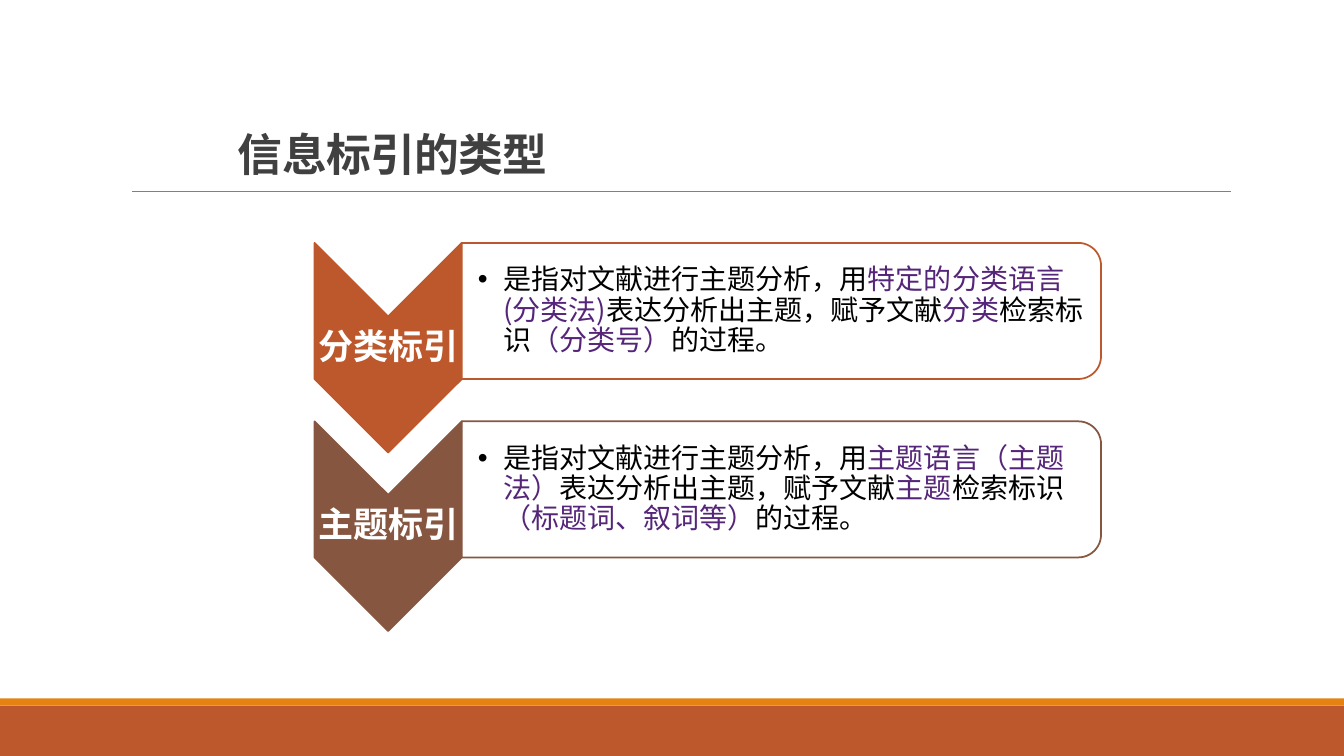
from dataclasses import dataclass

from lxml.etree import SubElement
from pptx import Presentation
from pptx.dml.color import RGBColor
from pptx.enum.shapes import MSO_CONNECTOR as Connector, MSO_SHAPE as Shape
from pptx.enum.text import MSO_ANCHOR as Anchor, PP_ALIGN as Align
from pptx.oxml.ns import qn
from pptx.util import Inches, Pt


@dataclass(frozen=True)
class Theme:
    font: str = "Noto Sans CJK SC"
    title: str = "404040"
    rule: str = "808080"
    white: str = "FFFFFF"
    body: str = "000000"
    keyword: str = "552579"
    rust: str = "BD582C"
    orange: str = "E48312"
    brown: str = "865640"
    title_size: int = 32
    label_size: int = 25
    body_size: int = 20


THEME = Theme()
SLIDE_WIDTH, SLIDE_HEIGHT = 13.33, 7.5
ROW_LEFT, ROW_TOP, ROW_WIDTH, ROW_PITCH = 3.12, 2.41, 7.8, 1.77

# Each description alternates plain and keyword text, starting with plain
ROWS = [
    ("分类标引", THEME.rust, [
        "是指对文献进行主题分析，用", "特定的分类语言(分类法)", "表达分析出主题，赋予文献",
        "分类", "检索标识", "（分类号）", "的过程。"]),
    ("主题标引", THEME.brown, [
        "是指对文献进行主题分析，用", "主题语言（主题法）", "表达分析出主题，赋予文献",
        "主题", "检索标识", "（标题词、叙词等）", "的过程。"]),
]


def style_run(run, size, color, bold=False):
    run.font.size = Pt(size)
    run.font.bold = bold
    run.font.name = THEME.font
    run.font.color.rgb = RGBColor.from_string(color)
    properties = run._r.get_or_add_rPr()
    SubElement(properties, qn("a:ea")).set("typeface", THEME.font)
    return properties


def add_block(slide, kind, left, top, width, height, fill, line=None, quarter_turn=False):
    """Draw a shape whose visible box is the one given, even when turned."""
    if quarter_turn:
        left, top = left + (width - height) / 2, top + (height - width) / 2
        width, height = height, width
    shape = slide.shapes.add_shape(
        kind, Inches(left), Inches(top), Inches(width), Inches(height))
    shape.rotation = 90 if quarter_turn else 0
    shape.shadow.inherit = False
    shape.fill.solid()
    shape.fill.fore_color.rgb = RGBColor.from_string(fill)
    if line:
        shape.line.color.rgb = RGBColor.from_string(line)
        shape.line.width = Pt(1.25)
    else:
        shape.line.fill.background()


def add_text(slide, left, top, width, height, inset, left_inset):
    box = slide.shapes.add_textbox(
        Inches(left), Inches(top), Inches(width), Inches(height))
    frame = box.text_frame
    frame.word_wrap = True
    frame.vertical_anchor = Anchor.MIDDLE
    frame.margin_top = frame.margin_right = frame.margin_bottom = Inches(inset)
    frame.margin_left = Inches(left_inset)
    paragraph = frame.paragraphs[0]
    paragraph.line_spacing = 0.9
    return paragraph


def add_bullet(paragraph):
    properties = paragraph._p.get_or_add_pPr()
    properties.set("marL", str(Inches(0.25)))
    properties.set("indent", str(-Inches(0.25)))
    SubElement(properties, qn("a:buFont")).set("typeface", "Arial")
    SubElement(properties, qn("a:buChar")).set("char", "•")


def add_footer(slide, top, width, height):
    stripe = 0.07
    add_block(slide, Shape.RECTANGLE, 0, top + stripe, width, height - stripe, THEME.rust)
    add_block(slide, Shape.RECTANGLE, 0, top, width, stripe, THEME.orange)


def add_header(slide, left, top, width, height):
    # Title
    title = slide.shapes.title
    title.left, title.top = Inches(left + 0.95), Inches(top)
    title.width, title.height = Inches(4.29), Inches(0.53)
    frame = title.text_frame
    frame.text = "信息标引的类型"
    frame.vertical_anchor = Anchor.BOTTOM
    paragraph = frame.paragraphs[0]
    paragraph.alignment = Align.LEFT
    paragraph.line_spacing = 0.85
    style_run(paragraph.runs[0], THEME.title_size, THEME.title, bold=True).set("spc", "-50")

    # Rule under the title
    bottom = Inches(top + height)
    rule = slide.shapes.add_connector(
        Connector.STRAIGHT, Inches(left), bottom, Inches(left + width), bottom)
    rule.line.color.rgb = RGBColor.from_string(THEME.rule)
    rule.line.width = Pt(0.5)
    SubElement(rule._element.spPr, qn("a:effectLst"))


def add_row(slide, left, top, width, label, color, description):
    arrow_width, arrow_height, panel_height = 1.46, 2.08, 1.35
    label_height, text_height = 0.62, 1.22
    panel_left, panel_width = left + arrow_width, width - arrow_width

    # Downward chevron with its label
    add_block(slide, Shape.CHEVRON, left, top, arrow_width, arrow_height,
              color, color, quarter_turn=True)
    paragraph = add_text(slide, left, top + (arrow_height - label_height) / 2,
                         arrow_width, label_height, 0.02, 0.02)
    paragraph.text = label
    paragraph.alignment = Align.CENTER
    style_run(paragraph.runs[0], THEME.label_size, THEME.white, bold=True)

    # Rounded panel with its description
    add_block(slide, Shape.ROUND_2_SAME_RECTANGLE, panel_left, top, panel_width,
              panel_height, THEME.white, color, quarter_turn=True)
    paragraph = add_text(slide, panel_left, top + (panel_height - text_height) / 2,
                         panel_width - 0.07, text_height, 0.01, 0.16)
    add_bullet(paragraph)
    for index, words in enumerate(description):
        run = paragraph.add_run()
        run.text = words
        style_run(run, THEME.body_size, THEME.keyword if index % 2 else THEME.body)


def main():
    presentation = Presentation()
    presentation.slide_width = Inches(SLIDE_WIDTH)
    presentation.slide_height = Inches(SLIDE_HEIGHT)
    slide = presentation.slides.add_slide(presentation.slide_layouts[5])
    add_footer(slide, 6.93, SLIDE_WIDTH, SLIDE_HEIGHT - 6.93)
    add_header(slide, 1.31, 1.31, 10.9, 0.59)
    for index, row in enumerate(ROWS):
        add_row(slide, ROW_LEFT, ROW_TOP + index * ROW_PITCH, ROW_WIDTH, *row)
    presentation.save("out.pptx")


if __name__ == "__main__":
    main()
